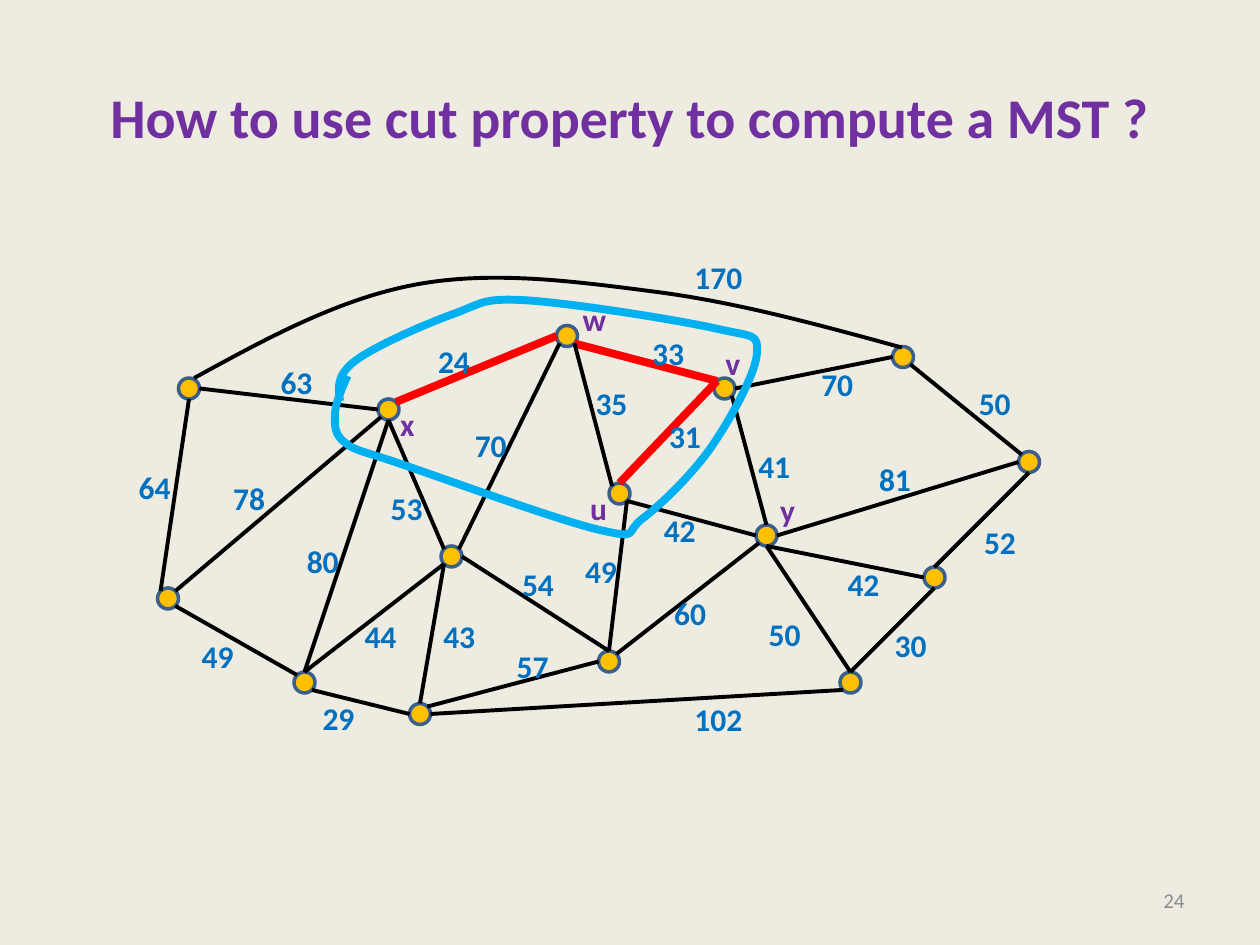
from pptx import Presentation
from pptx.dml.color import RGBColor
from pptx.enum.shapes import MSO_CONNECTOR, MSO_SHAPE
from pptx.enum.text import MSO_ANCHOR, MSO_AUTO_SIZE, PP_ALIGN
from pptx.oxml.ns import qn
from pptx.util import Cm, Pt
from lxml import etree

LINE = MSO_CONNECTOR.STRAIGHT
OVAL = MSO_SHAPE.OVAL
MIDDLE, TOP = MSO_ANCHOR.MIDDLE, MSO_ANCHOR.TOP
GROW, FIXED = MSO_AUTO_SIZE.SHAPE_TO_FIT_TEXT, MSO_AUTO_SIZE.NONE
LEFT, CENTER, RIGHT = PP_ALIGN.LEFT, PP_ALIGN.CENTER, PP_ALIGN.RIGHT
PURPLE, BLUE, GREY, BLACK, RED = "7030A0", "0070C0", "8C8C8C", "000000", "FF0000"
GRID = 2.54 / 12


def hue(code):
    return RGBColor.from_string(code)


def write(box, text, code, align, font, frame):
    for key, val in frame.items():
        setattr(box.text_frame, key, val)
    par = box.text_frame.paragraphs[0]
    par.alignment = align
    run = par.add_run()
    run.text = text
    for key, val in {"name": "Calibri", **font}.items():
        setattr(run.font, key, val)
    run.font.color.rgb = hue(code)


deck = Presentation()
deck.slide_width, deck.slide_height = Cm(25.4), Cm(19.05)
slide = deck.slides.add_slide(deck.slide_layouts[5])
slide.background.fill.solid()
slide.background.fill.fore_color.rgb = hue("EEECE1")
shapes = slide.shapes

title = shapes.title
place = {"left": Cm(1.27), "top": Cm(0.76), "width": Cm(22.86), "height": Cm(3.18)}
for key, val in place.items():
    setattr(title, key, val)
write(title, "How to use cut property to compute a MST ?", PURPLE, CENTER,
      {"size": Pt(32), "bold": True}, {"vertical_anchor": MIDDLE})

page = shapes.add_textbox(Cm(18.2), Cm(17.65), Cm(5.93), Cm(1.01))
write(page, "24", GREY, RIGHT, {"size": Pt(12)},
      {"vertical_anchor": MIDDLE, "word_wrap": True, "auto_size": FIXED})

# Node centres in grid steps; each node has a radius of one step.
nodes = {
    "a": (18, 37), "x": (37, 39), "b": (16, 57), "c": (43, 53), "w": (54, 32),
    "d": (29, 65), "v": (69, 37), "y": (73, 51), "e": (58, 63), "f": (89, 55),
    "g": (81, 65), "h": (40, 68), "u": (59, 47), "p": (86, 34), "q": (98, 44),
}
for x, y in nodes.values():
    dot = shapes.add_shape(OVAL, *(Cm(GRID * n) for n in (x - 1, y - 1, 2, 2)))
    dot.shadow.inherit = False
    dot.fill.solid()
    dot.fill.fore_color.rgb = hue("FFC000")
    dot.line.color.rgb = hue("3A5F8C")
    dot.line.width = Pt(2)

diag = 0.71
sides = {
    "N": (0, -1), "S": (0, 1), "W": (-1, 0), "E": (1, 0),
    "NW": (-diag, -diag), "NE": (diag, -diag), "SW": (-diag, diag), "SE": (diag, diag),
}
edges = [
    ("a E x W", "63", 0.8, -1.6), ("a S b NW", "64", -2.2, -0.6),
    ("x S c NW", "53", -1.2, 2.4), ("c SW d N", "44", 0.3, 1.6),
    ("w SW c NE", "70", -1.7, -0.1), ("v NW u N", "31", 1.3, -0.5),
    ("w SE v NW", "33", 2.2, -0.9), ("c E e N", "54", 0.8, -2.4),
    ("c SW h N", "43", 2.3, 0.1), ("x NE w W", "24", -2.2, -1.1),
    ("v E p W", "70", 2.3, 1.1), ("p SE q NW", "50", 2.8, -0.6),
    ("v SE y N", "41", 2.8, 0.4), ("q W y E", "81", -0.2, -1.9),
    ("f W y S", "42", 1.3, 2.6), ("g N y S", "50", -2.2, 2.4),
    ("e N u SE", "49", -1.2, -0.6), ("u SE y W", "42", -1.2, 1.5),
    ("h E g SW", "102", 8, 2), ("b SE d NW", "49", -1.7, 1.5),
    ("e W h NE", "57", 1.8, -2.1), ("x SW b NE", "78", -2.7, -0.6),
    ("x S d N", "80", -2.2, 1.4), ("w SE u NW", "35", 1.8, -1.1),
    ("y SW e NE", "60", 0.3, 1.4), ("q S f N", "52", 1.8, 2.1),
    ("g N f S", "30", 1.8, 1.4), ("h W d SE", "29", -2.2, 1.9),
]
tree = {"vu", "wv", "xw"}
labels = [("170", BLUE, 68.5, 26.4)]
for route, weight, right, down in edges:
    start, out, end, into = route.split()
    (ax, ay), (bx, by) = nodes[start], nodes[end]
    (adx, ady), (bdx, bdy) = sides[out], sides[into]
    ends = ax + adx, ay + ady, bx + bdx, by + bdy
    link = shapes.add_connector(LINE, *(Cm(GRID * n) for n in ends))
    code, width = (RED, 4.5) if start + end in tree else (BLACK, 2.25)
    link.line.color.rgb = hue(code)
    link.line.width = Pt(width)
    etree.SubElement(link.element.spPr, qn("a:effectLst"))
    labels.append((weight, BLUE, (ax + bx) / 2 + right, (ay + by) / 2 + down))

names = {"u": (-2, 1.4), "v": (0.9, -2.4), "w": (2.3, -1.6), "x": (1.9, 1.4), "y": (2.1, -2.4)}
for name, (right, down) in names.items():
    x, y = nodes[name]
    labels.append((name, PURPLE, x + right, y + down))

tall = 4.8
for text, code, x, y in labels:
    wide = 2.4 + 1.56 * len(text)
    area = x - wide / 2, y - tall / 2, wide, tall
    box = shapes.add_textbox(*(Cm(GRID * n) for n in area))
    write(box, text, code, LEFT, {"size": Pt(18), "bold": True},
          {"vertical_anchor": TOP, "word_wrap": False, "auto_size": GROW})

arc = [(18.5, 36), (39.6, 27.1), (62.5, 27.8), (85.9, 33.1)]
cut = [
    (33.1, 35.8), (31.9, 39.5), (32.9, 42.2), (38.2, 44.2), (57.2, 50.5),
    (61.2, 49.4), (67.8, 42.5), (72.1, 33.6), (68.2, 31.3), (50, 28.6),
    (43.2, 29.9), (33.8, 34.4), (32.4, 38.2),
]
# At each inner knot the handles run parallel to the line between its neighbours.
# An end handle lies halfway between the end and the nearest inner handle.
for knots, code, width in ((arc, BLACK, 2.25), (cut, "00B0F0", 4.5)):
    chain = []
    for (px, py), (x, y), (nx, ny) in zip(knots, knots[1:], knots[2:]):
        dx, dy = (nx - px) / 6, (ny - py) / 6
        chain += [(x - dx, y - dy), (x, y), (x + dx, y + dy)]
    first, last = [
        ((ex + hx) / 2, (ey + hy) / 2)
        for (ex, ey), (hx, hy) in ((knots[0], chain[0]), (knots[-1], chain[-1]))
    ]
    spots = [(Cm(GRID * x), Cm(GRID * y)) for x, y in [knots[0], first, *chain, last, knots[-1]]]
    pen = shapes.build_freeform(*spots[0])
    pen.add_line_segments(spots[1:], close=False)
    curve = pen.convert_to_shape()
    steps = list(curve.element.iter(qn("a:lnTo")))
    for trio in zip(steps[::3], steps[1::3], steps[2::3]):
        bend = etree.Element(qn("a:cubicBezTo"))
        trio[0].addprevious(bend)
        for step in trio:
            bend.append(step[0])
            step.getparent().remove(step)
    curve.shadow.inherit = False
    curve.fill.background()
    curve.line.color.rgb = hue(code)
    curve.line.width = Pt(width)

deck.save("out.pptx")
